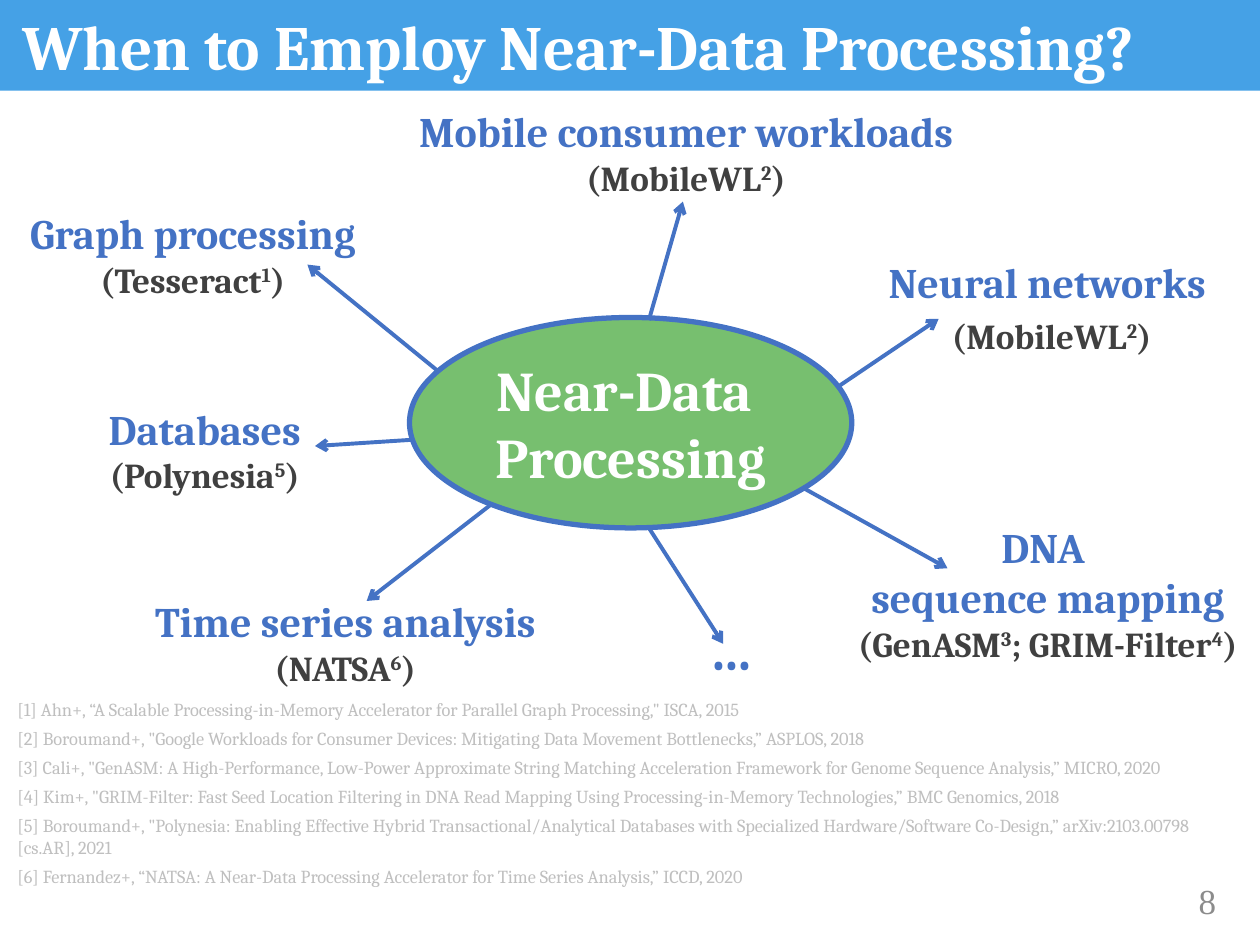
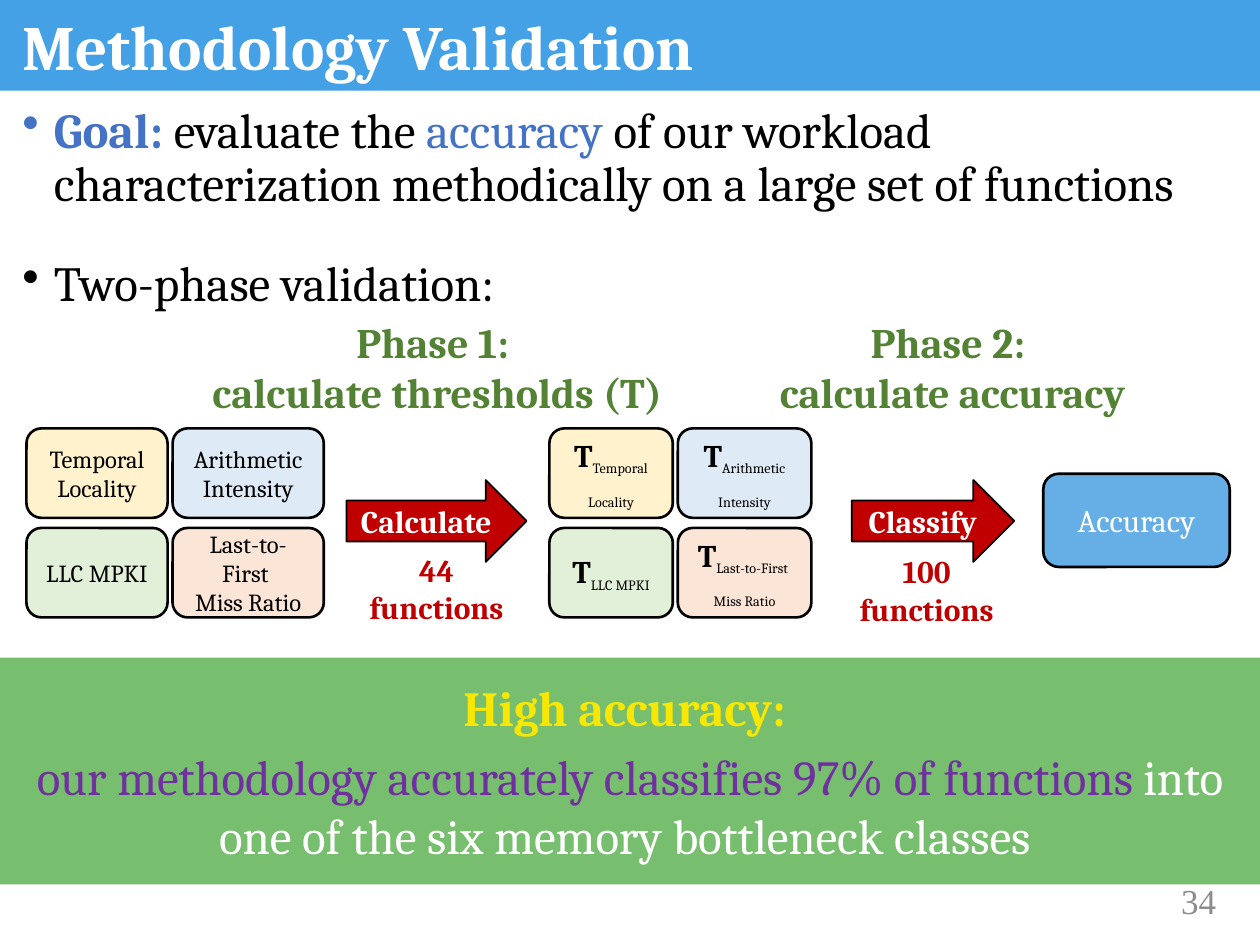
from dataclasses import dataclass, replace
from typing import NamedTuple, Optional

from lxml.etree import SubElement
from pptx import Presentation
from pptx.dml.color import RGBColor
from pptx.enum.shapes import MSO_CONNECTOR, MSO_SHAPE
from pptx.enum.text import MSO_ANCHOR as Anchor, PP_ALIGN as Align
from pptx.oxml.ns import qn
from pptx.util import Emu, Inches, Pt

# The slide is a grid of 100 columns by 75 rows of square cells.
COLUMNS, ROWS = 100, 75
CELL = Inches(10) // COLUMNS

BAND_BLUE = RGBColor(0x45, 0xA1, 0xE6)
BLUE = RGBColor(0x44, 0x72, 0xC4)
ACCURACY_BLUE = RGBColor(0x65, 0xAF, 0xE6)
GREEN = RGBColor(0x77, 0xBF, 0x6F)
DARK_GREEN = RGBColor(0x54, 0x82, 0x35)
RED = RGBColor(0xC0, 0x00, 0x00)
PURPLE = RGBColor(0x70, 0x30, 0xA0)
YELLOW = RGBColor(0xF8, 0xE7, 0x02)
WHITE = RGBColor(0xFF, 0xFF, 0xFF)
BLACK = RGBColor(0x00, 0x00, 0x00)
DARK_GREY = RGBColor(0x40, 0x40, 0x40)
PAGE_GREY = RGBColor(0x8C, 0x8C, 0x8C)
LIGHT_GREY = RGBColor(0xBF, 0xBF, 0xBF)
CREAM = RGBColor(0xFF, 0xF2, 0xCC)
PALE_BLUE = RGBColor(0xDE, 0xEB, 0xF7)
PALE_GREEN = RGBColor(0xE2, 0xF0, 0xD9)
PALE_ORANGE = RGBColor(0xFB, 0xE5, 0xD6)


class Box(NamedTuple):
    left: float
    top: float
    width: float
    height: float


@dataclass(frozen=True)
class Style:
    size: float
    color: RGBColor
    bold: bool = False
    baseline: int = 0
    font: str = "Cambria"


class Run(NamedTuple):
    text: str
    style: Style


class Outline(NamedTuple):
    color: RGBColor
    width: float


class Spoke(NamedTuple):
    """A workload around the hub and the arrow that leads to it."""
    label: Box
    lines: list
    start: tuple
    end: tuple


class Metric(NamedTuple):
    lines: tuple
    fill: RGBColor


class Step(NamedTuple):
    """A phase: its heading, its arrow and the functions it uses."""
    heading: str
    heading_box: Box
    action: str
    arrow_box: Box
    count: str
    count_box: Box


TITLE = Style(36, WHITE, True)
HUB = Style(32, WHITE, True)
WORKLOAD = Style(24, BLUE, True)
SYSTEM = Style(20, DARK_GREY, True)
REFERENCE = Style(10.5, LIGHT_GREY)
PAGE = Style(20, PAGE_GREY, font="Times New Roman")
BODY = Style(28, BLACK)
PHASE = Style(24, DARK_GREEN, True)
ACTION = Style(18, WHITE, True)
COUNT = Style(18, RED, True)
CARD = Style(14, BLACK)
THRESHOLD = Style(18, BLACK, True)
CARD_LINE = Outline(BLACK, 1.5)


def grid(*cells: float) -> list:
    return [Emu(round(cell * CELL)) for cell in cells]


def plain(style: Style, *lines: str) -> list:
    """One single-run paragraph for each line."""
    return [[Run(line, style)] for line in lines]


def systems(*parts: str) -> list:
    """Names and raised reference numbers in turn."""
    raised = replace(SYSTEM, baseline=30)
    return [Run(part, raised if index % 2 else SYSTEM) for index, part in enumerate(parts)]


def write(shape, paragraphs: list, align=Align.CENTER, anchor=Anchor.TOP, wrap=True,
          bullets=False, gap=0, **paragraph_format) -> None:
    """Fill a shape with text; gap is the space before each later paragraph."""
    frame = shape.text_frame
    frame.word_wrap, frame.vertical_anchor = wrap, anchor
    for index, runs in enumerate(paragraphs):
        paragraph = frame.add_paragraph() if index else frame.paragraphs[0]
        if bullets:
            properties = paragraph._p.get_or_add_pPr()
            properties.set("marL", str(Inches(0.25)))
            properties.set("indent", str(-Inches(0.25)))
            SubElement(properties, qn("a:buChar"), char="•")
        spacing = {"space_before": Pt(gap if index else 0)}
        for name, value in {"alignment": align, **spacing, **paragraph_format}.items():
            setattr(paragraph, name, value)
        for text, style in runs:
            run = paragraph.add_run()
            run.text = text
            for name, value in {"name": style.font, "size": Pt(style.size), "bold": style.bold}.items():
                setattr(run.font, name, value)
            run.font.color.rgb = style.color
            if style.baseline:
                run._r.get_or_add_rPr().set("baseline", str(style.baseline * 1000))


def add_text(slide, box: Box, paragraphs: list, **options) -> None:
    write(slide.shapes.add_textbox(*grid(*box)), paragraphs, **options)


def add_block(slide, kind, box: Box, fill: RGBColor, outline: Optional[Outline] = None,
              paragraphs: Optional[list] = None, **options) -> None:
    shape = slide.shapes.add_shape(kind, *grid(*box))
    shape.shadow.inherit = False
    shape.fill.solid()
    shape.fill.fore_color.rgb = fill
    if outline:
        shape.line.color.rgb, shape.line.width = outline.color, Pt(outline.width)
    else:
        shape.line.fill.background()
    if paragraphs:
        write(shape, paragraphs, anchor=Anchor.MIDDLE, **options)


def add_arrow(slide, start: tuple, end: tuple) -> None:
    arrow = slide.shapes.add_connector(MSO_CONNECTOR.STRAIGHT, *grid(*start, *end))
    arrow.line.color.rgb, arrow.line.width = BLUE, Pt(2.25)
    SubElement(arrow.line._get_or_add_ln(), qn("a:tailEnd"), type="arrow")
    SubElement(arrow._element.spPr, qn("a:effectLst"))


def add_framed_slide(presentation, title: str, number: int):
    """Add a slide with the title band and the page number."""
    slide = presentation.slides.add_slide(presentation.slide_layouts[6])
    add_block(slide, MSO_SHAPE.RECTANGLE, Box(0, -0.3, COLUMNS, 7.5), BAND_BLUE)
    add_text(slide, Box(0.8, 0.8, 98.3, 8.1), plain(TITLE, title), align=Align.LEFT, line_spacing=0.9)
    add_text(slide, Box(86.7, 69.5, 10.8, 4), plain(PAGE, str(number)),
             align=Align.RIGHT, anchor=Anchor.MIDDLE)
    return slide


SPOKES = [
    Spoke(Box(31.5, 7.9, 45.9, 8.4),
          plain(WORKLOAD, "Mobile consumer workloads") + [systems("(MobileWL", "2", ")")],
          (51.5, 25.4), (54.2, 16)),
    Spoke(Box(69.2, 19.9, 27.8, 9.1),
          plain(WORKLOAD, "Neural networks")
          + [[Run(" ", WORKLOAD), *systems("(MobileWL", "2", ")")]],
          (66.5, 30.7), (74.5, 25.3)),
    Spoke(Box(0.8, 16, 29, 8.4),
          plain(WORKLOAD, "Graph processing") + [systems("(Tesseract", "1", ")")],
          (34.7, 29.4), (24.4, 21)),
    Spoke(Box(10.8, 46.8, 33.2, 8.4),
          plain(WORKLOAD, "Time series analysis") + [systems("(NATSA", "6", ")")],
          (38.9, 40.1), (29.1, 47.7)),
    Spoke(Box(66.2, 40.9, 33.9, 12.5),
          plain(WORKLOAD, "DNA ", "sequence mapping")
          + [systems("(GenASM", "3", "; GRIM-Filter", "4", ")")],
          (63.7, 38.7), (75.2, 45.1)),
    Spoke(Box(55.5, 48.3, 5.2, 4.4), plain(replace(WORKLOAD, size=32), "..."),
          (51.5, 41.9), (57.4, 51.1)),
    Spoke(Box(7.3, 31.5, 17.9, 8.4),
          plain(WORKLOAD, "Databases") + [systems("(Polynesia", "5", ")")],
          (32.8, 34.9), (25, 35.4)),
]

REFERENCES = [
    "[1] Ahn+, “A Scalable Processing-in-Memory Accelerator for Parallel Graph Processing,\" ISCA, 2015",
    "[2] Boroumand+, \"Google Workloads for Consumer Devices: Mitigating Data Movement Bottlenecks,” "
    "ASPLOS, 2018",
    "[3] Cali+, \"GenASM: A High-Performance, Low-Power Approximate String Matching Acceleration "
    "Framework for Genome Sequence Analysis,” MICRO, 2020",
    "[4] Kim+, \"GRIM-Filter: Fast Seed Location Filtering in DNA Read Mapping Using "
    "Processing-in-Memory Technologies,” BMC Genomics, 2018",
    "[5] Boroumand+, \"Polynesia: Enabling Effective Hybrid Transactional/Analytical Databases with "
    "Specialized Hardware/Software Co-Design,” arXiv:2103.00798 [cs.AR], 2021",
    "[6] Fernandez+, “NATSA: A Near-Data Processing Accelerator for Time Series Analysis,” ICCD, 2020",
]

# Row by row, two in each row.
METRICS = [
    Metric(("Temporal Locality",), CREAM),
    Metric(("Arithmetic Intensity",), PALE_BLUE),
    Metric(("LLC MPKI",), PALE_GREEN),
    Metric(("Last-to-First ", "Miss Ratio"), PALE_ORANGE),
]

STEPS = [
    Step("calculate thresholds (T)", Box(11.2, 24.6, 47, 9.1),
         "Calculate", Box(27.5, 38.1, 14.3, 6.5), "44", Box(28.2, 43.2, 12.9, 7.1)),
    Step("calculate accuracy", Box(52.1, 24.6, 47, 9.1),
         "Classify", Box(67.6, 38.1, 12.9, 6.5), "100", Box(67.1, 43.3, 12.9, 7.1)),
]


def add_metric_cards(slide, left: float, widths: tuple, threshold: bool) -> None:
    """Draw the metrics two by two, as names or as subscripts of a T."""
    top, height, column_gap, row_gap = 34, 7.1, 0.4, 0.8
    style = replace(CARD, baseline=-25) if threshold else CARD
    for index, metric in enumerate(METRICS):
        row, column = divmod(index, 2)
        box = Box(left + column * (widths[0] + column_gap), top + row * (height + row_gap),
                  widths[column], height)
        paragraphs = plain(style, *metric.lines)
        if threshold:
            paragraphs[0].insert(0, Run("T", THRESHOLD))
        add_block(slide, MSO_SHAPE.ROUNDED_RECTANGLE, box, metric.fill, CARD_LINE, paragraphs)


def build_workloads_slide(presentation) -> None:
    slide = add_framed_slide(presentation, "When to Employ Near-Data Processing?", 8)
    add_block(slide, MSO_SHAPE.OVAL, Box(32.5, 25.2, 35.1, 16.7), GREEN, Outline(BLUE, 3),
              plain(HUB, "Near-Data ", "Processing"))
    for spoke in SPOKES:
        add_text(slide, spoke.label, spoke.lines, wrap=False)
        add_arrow(slide, spoke.start, spoke.end)
    add_text(slide, Box(0.4, 54.9, 99.5, 17.6), plain(REFERENCE, *REFERENCES), align=Align.LEFT, gap=4)


def build_validation_slide(presentation) -> None:
    slide = add_framed_slide(presentation, "Methodology Validation", 34)
    goal = [
        Run("Goal: ", replace(BODY, color=BLUE, bold=True)),
        Run("evaluate the ", BODY),
        Run("accuracy ", replace(BODY, color=BLUE)),
        Run("of our workload characterization methodically on a large set of functions", BODY),
    ]
    add_text(slide, Box(0.8, 7.9, 98.3, 17), [goal, [Run("Two-phase validation:", BODY)]],
             align=Align.LEFT, bullets=True, gap=27, line_spacing=0.9)

    for number, step in enumerate(STEPS, 1):
        add_text(slide, step.heading_box, plain(PHASE, f"Phase {number}: ", step.heading))
        add_block(slide, MSO_SHAPE.RIGHT_ARROW, step.arrow_box, RED, Outline(BLACK, 1),
                  plain(ACTION, step.action))
        add_text(slide, step.count_box, plain(COUNT, step.count, "functions"), wrap=False)
    add_metric_cards(slide, 2.1, (11.2, 12), threshold=False)
    add_metric_cards(slide, 43.6, (9.8, 10.6), threshold=True)
    add_block(slide, MSO_SHAPE.ROUNDED_RECTANGLE, Box(82.8, 37.6, 14.8, 7.4), ACCURACY_BLUE,
              CARD_LINE, plain(replace(ACTION, bold=False), "Accuracy"))

    result = [
        Run("our methodology accurately classifies 97% of functions ", replace(BODY, color=PURPLE)),
        Run("into one of the six memory bottleneck classes ", replace(BODY, color=WHITE)),
    ]
    headline = Run("High accuracy: ", replace(BODY, color=YELLOW, bold=True))
    add_block(slide, MSO_SHAPE.RECTANGLE, Box(0, 52.2, COLUMNS, 18), GREEN,
              paragraphs=[[headline], result], gap=6)


def main() -> None:
    presentation = Presentation()
    presentation.slide_width, presentation.slide_height = grid(COLUMNS, ROWS)
    build_workloads_slide(presentation)
    build_validation_slide(presentation)
    presentation.save("out.pptx")


if __name__ == "__main__":
    main()
